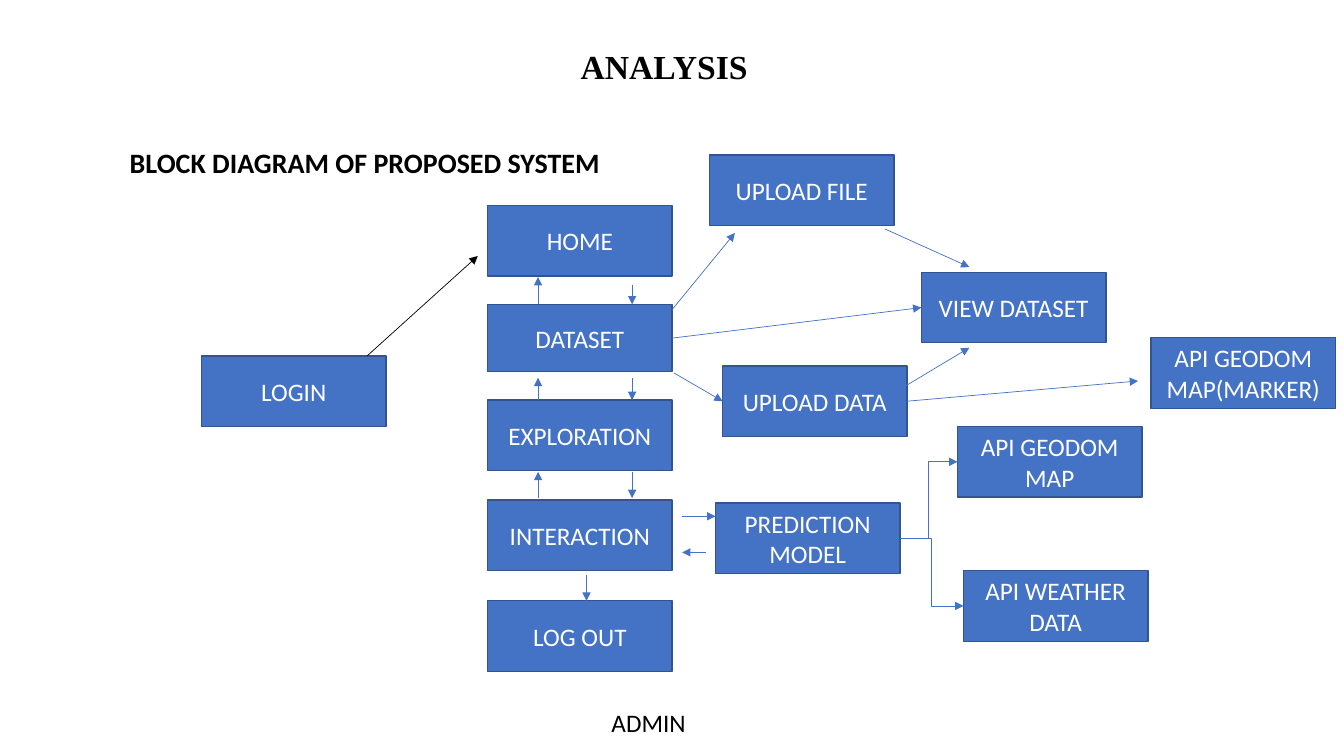
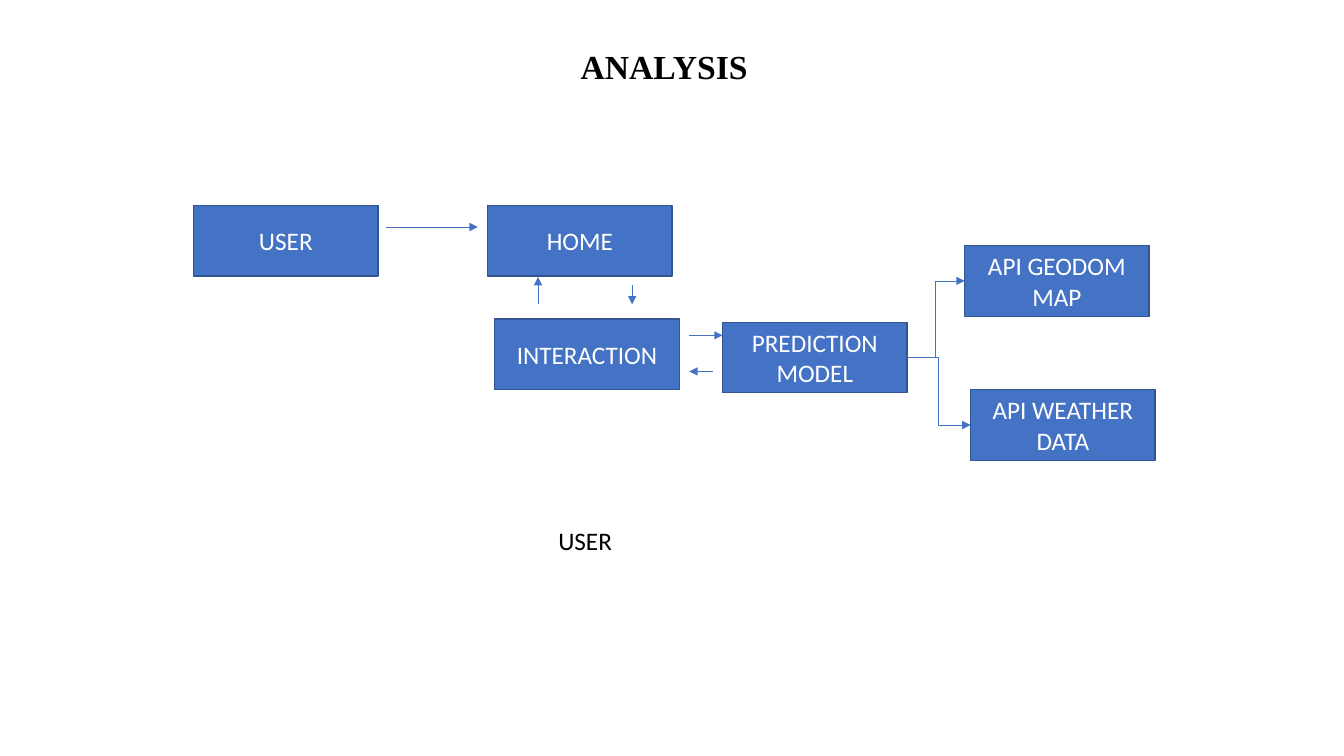
from lxml import etree
from pptx import Presentation
from pptx.dml.color import RGBColor
from pptx.enum import shapes, text
from pptx.oxml import ns
from pptx.util import Cm, Pt

BLUE = RGBColor(0x44, 0x72, 0xC4)
DARK_BLUE = RGBColor(0x32, 0x54, 0x91)
BLACK = RGBColor(0, 0, 0)
WHITE = RGBColor(0xFF, 0xFF, 0xFF)

BODY_FONT = "Calibri"
TITLE_FONT = "Times New Roman"
BOX_WIDTH, BOX_HEIGHT = 4.65, 1.78
COLUMN_LEFT, HOME_TOP = 12.29, 5.18
TOP, LEFT, BOTTOM, RIGHT = range(4)


def write(shape, words, size, color, name=BODY_FONT, bold=False,
          alignment=text.PP_ALIGN.LEFT, anchor=text.MSO_ANCHOR.TOP):
    frame = shape.text_frame
    frame.text = words
    frame.word_wrap = True
    frame.auto_size = text.MSO_AUTO_SIZE.NONE
    frame.vertical_anchor = anchor
    paragraph = frame.paragraphs[0]
    paragraph.alignment = alignment
    paragraph.font.name = name
    paragraph.font.size = Pt(size)
    paragraph.font.bold = bold
    paragraph.font.color.rgb = color


def add_titled_slide(presentation):
    slide = presentation.slides.add_slide(presentation.slide_layouts[5])
    title = slide.shapes.title
    title.left, title.top = Cm(14.38), Cm(1.04)
    title.width, title.height = Cm(5.11), Cm(1.27)
    write(title, "ANALYSIS", 24, BLACK, TITLE_FONT, True)
    return slide


def add_label(slide, words, left, top, width, height, size=18, bold=False):
    label = slide.shapes.add_textbox(Cm(left), Cm(top), Cm(width), Cm(height))
    write(label, words, size, BLACK, bold=bold)


def add_box(slide, words, left, top, height=BOX_HEIGHT):
    box = slide.shapes.add_shape(shapes.MSO_SHAPE.RECTANGLE, Cm(left), Cm(top),
                                 Cm(BOX_WIDTH), Cm(height))
    box.shadow.inherit = False
    box.fill.solid()
    box.fill.fore_color.rgb = BLUE
    box.line.color.rgb = DARK_BLUE
    box.line.width = Pt(1)
    write(box, words, 18, WHITE, alignment=text.PP_ALIGN.CENTER,
          anchor=text.MSO_ANCHOR.MIDDLE)
    return box


def add_arrow(slide, start=(0, 0), end=(0, 0), source=None, target=None,
              kind=shapes.MSO_CONNECTOR.STRAIGHT, color=BLUE):
    arrow = slide.shapes.add_connector(kind, *map(Cm, (*start, *end)))
    if source is not None:
        arrow.begin_connect(source, RIGHT)
    if target is not None:
        arrow.end_connect(target, LEFT)
    arrow.line.color.rgb = color
    arrow.line.width = Pt(0.5)
    etree.SubElement(arrow.line._get_or_add_ln(), ns.qn("a:tailEnd"), type="triangle")
    etree.SubElement(arrow._element.spPr, ns.qn("a:effectLst"))


def add_exchange(slide, left, up_end, down_start, bottom):
    up, down = left + 1.27, left + 3.64
    add_arrow(slide, (up, bottom), (up, up_end))
    add_arrow(slide, (down, down_start), (down, bottom))


def add_home(slide, left, top):
    add_box(slide, "HOME", left, top)
    add_exchange(slide, left, top + 1.8, top + 2.01, top + 2.49)


def add_interaction_region(slide, left, top):
    add_box(slide, "INTERACTION", left, top)
    model_left, model_top = left + 5.74, top + 0.08
    model = add_box(slide, "PREDICTION MODEL", model_left, model_top)
    weather = add_box(slide, "API WEATHER DATA", model_left + 6.25, model_top + 1.7)
    area_map = add_box(slide, "API GEODOM MAP", model_left + 6.1, model_top - 1.93)
    gap_left, out_y, back_y = model_left - 0.84, model_top + 0.33, model_top + 1.24
    add_arrow(slide, (gap_left, out_y), (model_left, out_y))
    add_arrow(slide, (model_left - 0.23, back_y), (gap_left, back_y))
    for service in (weather, area_map):
        add_arrow(slide, source=model, target=service, kind=shapes.MSO_CONNECTOR.ELBOW)


def add_dataset_region(slide, left, top):
    def at(x, y):
        return left + x, top + y

    dataset = add_box(slide, "DATASET", left, top, 1.7)
    add_box(slide, "UPLOAD FILE", *at(5.59, -3.76))
    upload_data = add_box(slide, "UPLOAD DATA", *at(5.92, 1.55))
    view = add_box(slide, "VIEW DATASET", *at(10.93, -0.81))
    add_box(slide, "API GEODOM MAP(MARKER)", *at(16.72, 0.84))
    add_arrow(slide, at(4.65, 0.13), at(6.23, -1.8))
    add_arrow(slide, at(10.01, -1.9), at(12.14, -0.94))
    add_arrow(slide, at(10.44, 2.11), at(12.14, 1.09))
    add_arrow(slide, source=dataset, target=view)
    add_arrow(slide, at(4.7, 1.73), target=upload_data)
    add_arrow(slide, end=at(16.39, 1.93), source=upload_data)


def add_login(slide, left, top):
    add_box(slide, "LOGIN", left, top)
    add_arrow(slide, (left + 4.17, top), (left + 6.96, top - 2.52), color=BLACK)


def add_user(slide, left, top):
    add_box(slide, "USER", left, top)
    add_arrow(slide, (left + 4.85, top + 0.54), (left + 7.16, top + 0.54))


def build_admin_slide(presentation):
    slide = add_titled_slide(presentation)
    add_label(slide, "BLOCK DIAGRAM OF PROPOSED SYSTEM", 3.02, 3.53, 12.45, 1.12, 20, True)
    add_home(slide, COLUMN_LEFT, HOME_TOP)
    add_dataset_region(slide, COLUMN_LEFT, 7.67)
    add_box(slide, "EXPLORATION", COLUMN_LEFT, 10.08)
    add_interaction_region(slide, COLUMN_LEFT, 12.6)
    add_box(slide, "LOG OUT", COLUMN_LEFT, 15.14)
    for top, bottom in ((9.52, 10.08), (11.89, 12.55)):
        add_exchange(slide, COLUMN_LEFT, top, top, bottom)
    add_arrow(slide, (14.78, 14.48), (14.78, 15.14))
    add_login(slide, 5.08, 8.97)
    add_label(slide, "ADMIN", 15.16, 17.7, 2.44, 1.02)


def build_user_slide(presentation):
    slide = add_titled_slide(presentation)
    add_user(slide, 4.88, HOME_TOP)
    add_home(slide, COLUMN_LEFT, HOME_TOP)
    add_interaction_region(slide, 12.47, 8.04)
    add_label(slide, "USER", 13.82, 13.11, 2.44, 1.02)


def main():
    presentation = Presentation()
    presentation.slide_width, presentation.slide_height = Cm(33.87), Cm(19.05)
    build_admin_slide(presentation)
    build_user_slide(presentation)
    presentation.save("out.pptx")


if __name__ == "__main__":
    main()
